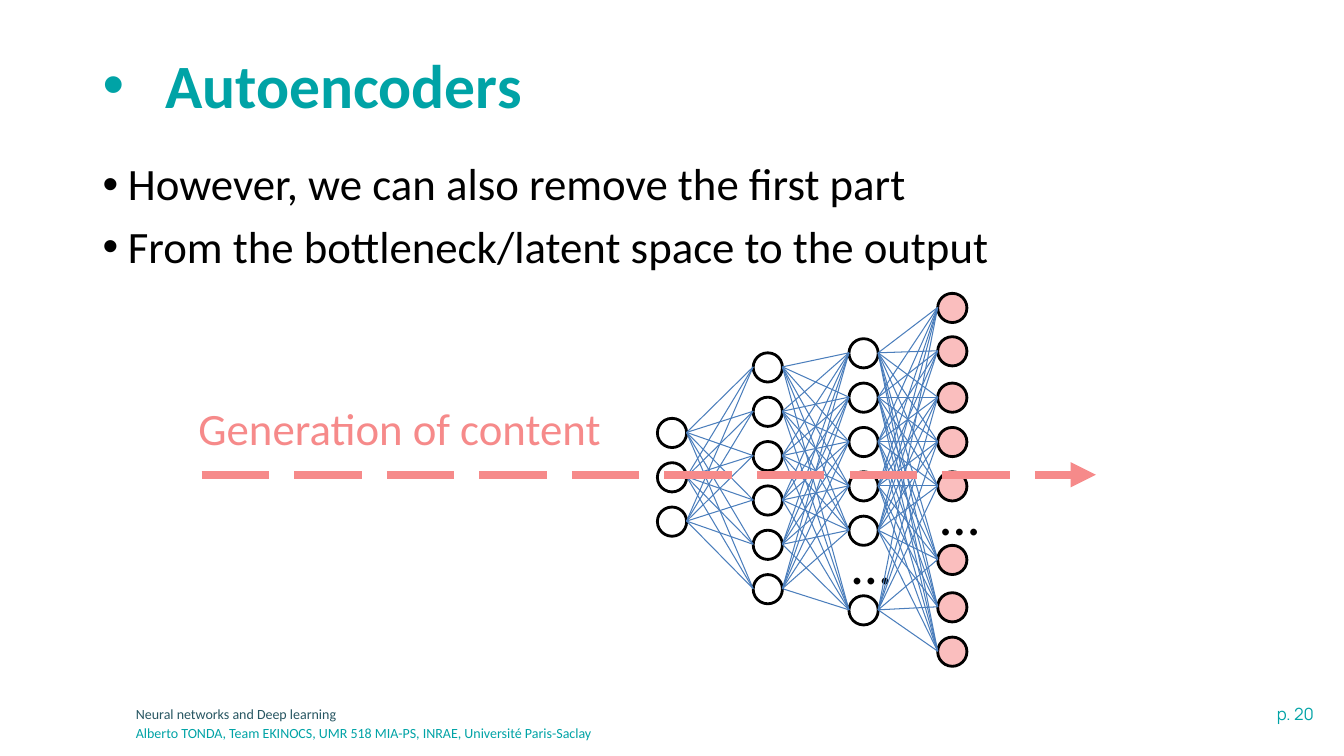
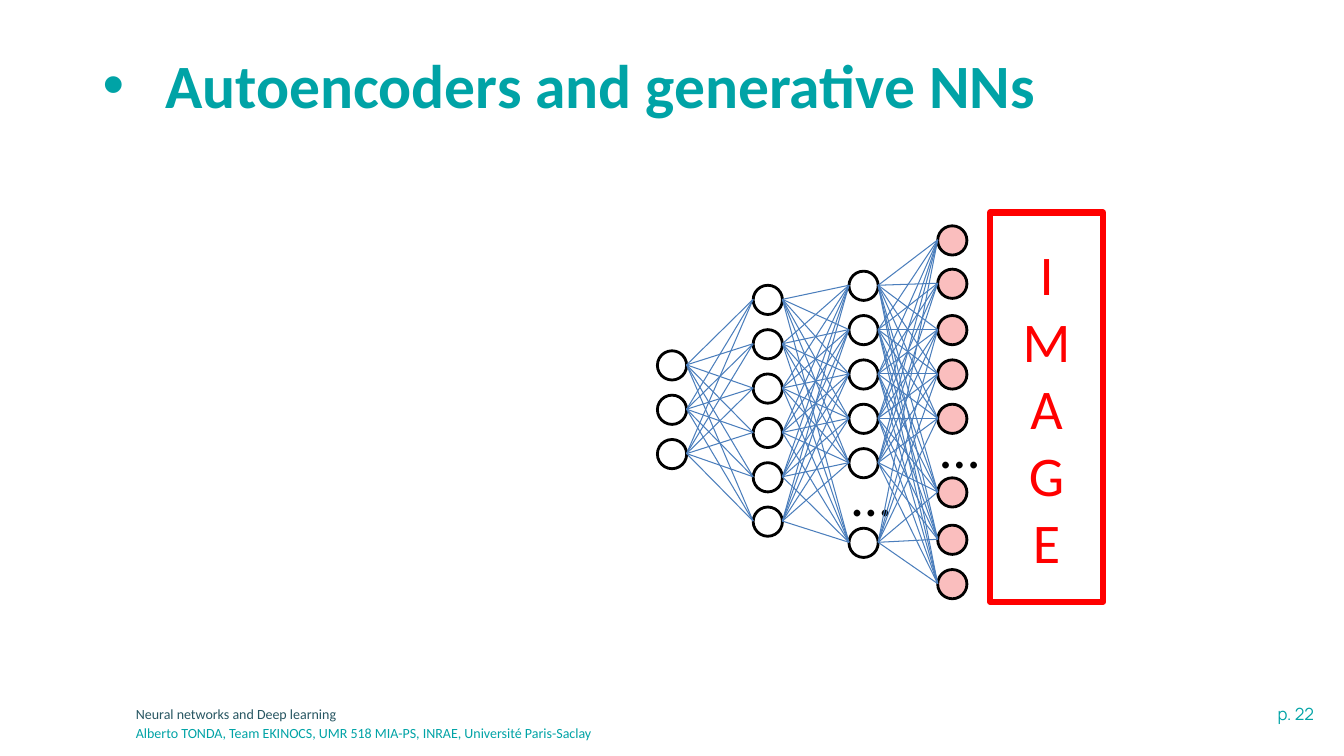
"""Build two slides on the decoder half of an autoencoder."""
from itertools import pairwise, product

from lxml import etree
from pptx import Presentation
from pptx.dml.color import RGBColor
from pptx.enum.dml import MSO_LINE
from pptx.enum.shapes import MSO_CONNECTOR, MSO_SHAPE
from pptx.enum.text import MSO_ANCHOR, PP_ALIGN
from pptx.oxml.ns import qn
from pptx.util import Pt

PX = 9144
LEFT, CENTER, RIGHT = PP_ALIGN.LEFT, PP_ALIGN.CENTER, PP_ALIGN.RIGHT
TOP, MIDDLE = MSO_ANCHOR.TOP, MSO_ANCHOR.MIDDLE
OVAL, STRAIGHT, LONG_DASH = MSO_SHAPE.OVAL, MSO_CONNECTOR.STRAIGHT, MSO_LINE.LONG_DASH
rgb = RGBColor.from_string

TEAL, SLATE, BLACK, WHITE = "00A3A6", "275662", "000000", "FFFFFF"
PINK, CORAL, BLUE, RED = "FABEBE", "F68A8A", "4B7EBC", "FF0000"

NODE, PITCH = 29, 44
LAYERS = [
    (652, [124 + PITCH * i for i in range(3)], WHITE),
    (747, [59 + PITCH * i for i in range(6)], WHITE),
    (842, [45 + PITCH * i for i in range(5)] + [300], WHITE),
    (930, [0, 43] + [89 + PITCH * i for i in range(3)] + [250, 297, 341], PINK),
]
ELLIPSES = [(923, 180), (835, 228)]
UNLINKED = (842, 300, 930, 43)

SLIDES = [
    {"title": "Autoencoders", "page": "p. 20", "top": 291},
    {"title": "Autoencoders and generative NNs", "page": "p. 22", "top": 224},
]


def text(s, at, lines, size, color, font="Calibri", bold=False, align=LEFT,
         anchor=TOP, hang=0, before=0):
    sp = s.shapes.add_textbox(*[v * PX for v in at])
    tf = sp.text_frame
    tf.word_wrap = True
    tf.vertical_anchor = anchor
    tf.text = "\n".join(lines)
    for p in tf.paragraphs:
        p.alignment = align
        p.font.name, p.font.size, p.font.bold = font, Pt(size), bold
        p.font.color.rgb = rgb(color)
        if hang:
            p.line_spacing, p.space_before = 0.9, Pt(before)
            pPr = p._p.get_or_add_pPr()
            pPr.set("marL", str(hang * PX))
            pPr.set("indent", str(-hang * PX))
            bullet_font = etree.Element(qn("a:buFont"), typeface="Arial")
            bullet = etree.Element(qn("a:buChar"), char="•")
            at_def = pPr.index(pPr.find(qn("a:defRPr")))
            pPr[at_def:at_def] = [bullet_font, bullet]
    return sp


def line(s, ends, color, width):
    cn = s.shapes.add_connector(STRAIGHT, *[v * PX for v in ends])
    cn.line.color.rgb = rgb(color)
    cn.line.width = Pt(width)
    etree.SubElement(cn._element.spPr, qn("a:effectLst"))
    return cn


prs = Presentation()
prs.slide_width, prs.slide_height = 1333 * PX, 750 * PX
slides = []

for content in SLIDES:
    s = prs.slides.add_slide(prs.slide_layouts[6])
    slides.append(s)
    top = content["top"]

    text(s, (1085, 693, 228, 30), [content["page"]], 12, TEAL, "Manrope", align=RIGHT)
    text(s, (125, 695, 734, 28), ["Neural networks and Deep learning"], 10, SLATE)
    text(s, (125, 714, 734, 28),
         ["Alberto TONDA, Team EKINOCS, UMR 518 MIA-PS, INRAE, Université Paris-Saclay"],
         10, TEAL)
    text(s, (92, 40, 1150, 95), [content["title"]], 44, TEAL, bold=True,
         anchor=MIDDLE, hang=62)

    for x, ys, fill in LAYERS:
        for y in ys:
            sp = s.shapes.add_shape(OVAL, x * PX, (top + y) * PX, NODE * PX, NODE * PX)
            sp.shadow.inherit = False
            sp.fill.solid()
            sp.fill.fore_color.rgb = rgb(fill)
            sp.line.color.rgb = rgb(BLACK)
            sp.line.width = Pt(2)

    for x, y in ELLIPSES:
        text(s, (x, top + y, 44, 68), ["…"], 40, BLACK, align=CENTER)

    for (x1, ys1, _), (x2, ys2, _) in pairwise(LAYERS):
        for y1, y2 in product(ys1, ys2):
            if (x1, y1, x2, y2) != UNLINKED:
                mid = top + NODE // 2
                line(s, (x1 + NODE, mid + y1, x2, mid + y2), BLUE, 0.75)

decoder, generative = slides

text(decoder, (92, 156, 1150, 511),
     ["However, we can also remove the first part",
      "From the bottleneck/latent space to the output"],
     32, BLACK, hang=25, before=10)
arrow = line(decoder, (200, 471, 1087, 471), CORAL, 6)
arrow.line.dash_style = LONG_DASH
etree.SubElement(arrow.line._get_or_add_ln(), qn("a:tailEnd"), type="triangle")
text(decoder, (187, 393, 497, 64), ["Generation of content"], 32, CORAL)

frame = text(generative, (982, 211, 112, 386), list("IMAGE"), 40, RED,
             align=CENTER, anchor=MIDDLE)
frame.fill.solid()
frame.fill.fore_color.rgb = rgb(WHITE)
frame.line.color.rgb = rgb(RED)
frame.line.width = Pt(4.5)

prs.save("out.pptx")
